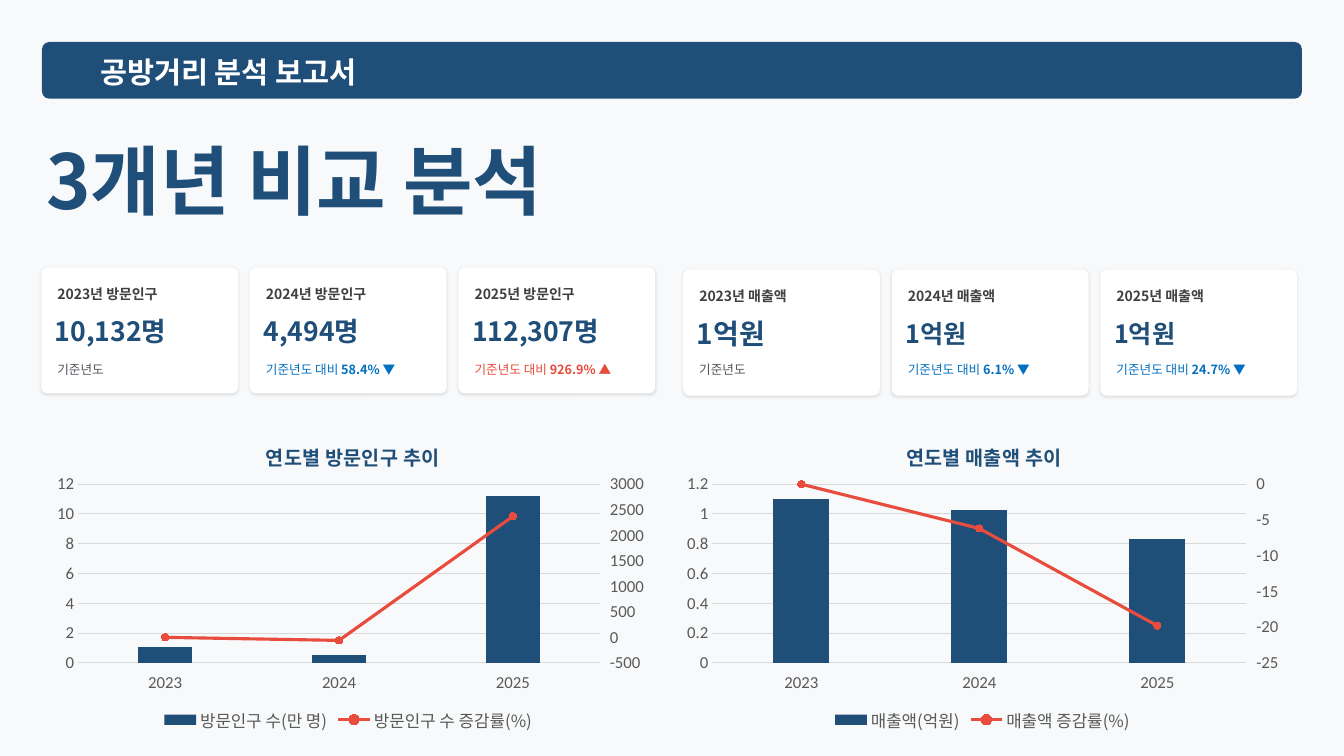
from copy import deepcopy
from dataclasses import dataclass

from lxml import etree
from pptx import Presentation
from pptx.chart.axis import CategoryAxis, ValueAxis
from pptx.chart.data import CategoryChartData
from pptx.dml.color import RGBColor
from pptx.enum.chart import XL_CHART_TYPE, XL_LEGEND_POSITION, XL_MARKER_STYLE, XL_TICK_LABEL_POSITION, XL_TICK_MARK
from pptx.enum.shapes import MSO_SHAPE
from pptx.enum.text import MSO_ANCHOR, MSO_AUTO_SIZE, PP_ALIGN
from pptx.oxml import parse_xml
from pptx.oxml.ns import nsdecls, qn
from pptx.util import Pt

ROUNDED = MSO_SHAPE.ROUNDED_RECTANGLE
COLUMNS = XL_CHART_TYPE.COLUMN_CLUSTERED
NO_TICK, TICK_OUT = XL_TICK_MARK.NONE, XL_TICK_MARK.OUTSIDE
LOW = XL_TICK_LABEL_POSITION.LOW
BOTTOM = XL_LEGEND_POSITION.BOTTOM
CIRCLE = XL_MARKER_STYLE.CIRCLE
MIDDLE, LEFT, NO_FIT = MSO_ANCHOR.MIDDLE, PP_ALIGN.LEFT, MSO_AUTO_SIZE.NONE


@dataclass(frozen=True)
class Theme:
    back: RGBColor = RGBColor.from_string("F8F9FA")
    white: RGBColor = RGBColor.from_string("FFFFFF")
    navy: RGBColor = RGBColor.from_string("1F4E79")
    dark: RGBColor = RGBColor.from_string("404040")
    grey: RGBColor = RGBColor.from_string("51545A")
    axis: RGBColor = RGBColor.from_string("595959")
    grid: RGBColor = RGBColor.from_string("D9D9D9")
    blue: RGBColor = RGBColor.from_string("0070C0")
    red: RGBColor = RGBColor.from_string("E74C3C")
    korean: str = "Noto Sans CJK KR"
    latin: str = "Calibri"
    title: int = 54
    header: int = 21
    chart_title: int = 14
    chart_text: int = 12
    label: int = 10
    note: int = 9


T = Theme()


def style(font, size, color, bold=False):
    """Apply the Korean face to Latin and East Asian text alike."""
    font.size, font.bold, font.name = Pt(size), bold, T.korean
    font.color.rgb = color
    latin = font._element.find(qn("a:latin"))
    latin.addnext(etree.Element(qn("a:ea"), typeface=T.korean))


def write(sp, parts, size, color):
    """Fill a shape with one line of (text, bold) runs, without insets."""
    tf = sp.text_frame
    tf.word_wrap, tf.auto_size, tf.vertical_anchor = True, NO_FIT, MIDDLE
    tf.margin_left = tf.margin_top = tf.margin_right = tf.margin_bottom = 0
    p = tf.paragraphs[0]
    p.alignment = LEFT
    for text, bold in parts:
        r = p.add_run()
        r.text = text
        style(r.font, size, color, bold)


prs = Presentation()
prs.slide_width, prs.slide_height = Pt(960), Pt(540)
s = prs.slides.add_slide(prs.slide_layouts[5])
s.background.fill.solid()
s.background.fill.fore_color.rgb = T.back

# Header bar and title
bar = s.shapes.add_shape(ROUNDED, Pt(30), Pt(30), Pt(900), Pt(40.5))
bar.adjustments[0] = 0.13
bar.shadow.inherit = False
bar.fill.solid()
bar.fill.fore_color.rgb = T.navy
bar.line.fill.background()
header = s.shapes.add_textbox(Pt(71.5), Pt(35.5), Pt(326), Pt(31))
write(header, [("공방거리 분석 보고서", True)], T.header, T.white)

title = s.shapes.title
title.left, title.top, title.width, title.height = Pt(33), Pt(88.5), Pt(455), Pt(78.5)
write(title, [("3개년 비교 분석", True)], T.title, T.navy)

# Indicator cards: label, label width, value, value size, change, change colour
BASE = "기준년도"
card_groups = [
    (29.5, 191, [
        ("2023년 방문인구", 81, "10,132명", 19, "", T.grey),
        ("2024년 방문인구", 78, "4,494명", 19, "58.4% ▼", T.blue),
        ("2025년 방문인구", 72, "112,307명", 19, "926.9% ▲", T.red),
    ]),
    (488, 192.5, [
        ("2023년 매출액", 70, "1억원", 20, "", T.grey),
        ("2024년 매출액", 70, "1억원", 18, "6.1% ▼", T.blue),
        ("2025년 매출액", 70, "1억원", 18, "24.7% ▼", T.blue),
    ]),
]
for group_left, top, cards in card_groups:
    for i, (label, label_width, value, value_size, change, color) in enumerate(cards):
        left = group_left + 149 * i
        card = s.shapes.add_shape(ROUNDED, Pt(left), Pt(top), Pt(140.5), Pt(90))
        card.adjustments[0] = 0.05
        card.fill.solid()
        card.fill.fore_color.rgb = T.white
        card.line.fill.background()
        card._element.spPr.append(parse_xml(
            f'<a:effectLst {nsdecls("a")}><a:outerShdw blurRad="{Pt(2)}" dist="{Pt(1)}" dir="5400000">'
            '<a:srgbClr val="000000"><a:alpha val="10000"/></a:srgbClr></a:outerShdw></a:effectLst>'))
        note = [(f"{BASE} 대비 ", False), (change, True)] if change else [(BASE, False)]
        for dx, y, width, height, parts, size, tint in [
            (11.5, top + 13, label_width, 12, [(label, True)], T.label, T.dark),
            (9.75, top + 35, 140, 21, [(value, True)], value_size, T.navy),
            (11.5, 256.5, 128, 15, note, T.note, color),
        ]:
            box = s.shapes.add_textbox(Pt(left + dx), Pt(y), Pt(width), Pt(height))
            write(box, parts, size, tint)

# Charts: left, title, title x, plot width, number format, bars, left scale, line, right scale
charts = [
    (29.5, "연도별 방문인구 추이", 0.36, 0.85, "#,##0",
     ("방문인구 수(만 명)", (1.1, 0.5, 11.2)), (0, 12, 2),
     ("방문인구 수 증감률(%)", (0, -60, 2370)), (-500, 3000, 500)),
    (482.5, "연도별 매출액 추이", 0.37, 0.87, "General",
     ("매출액(억원)", (1.1, 1.03, 0.83)), (0, 1.2, 0.2),
     ("매출액 증감률(%)", (0, -6.2, -19.8)), (-25, 0, 5)),
]
for left, heading, title_x, plot_width, number_format, bars, left_scale, rate, right_scale in charts:
    data = CategoryChartData()
    data.categories = ["2023", "2024", "2025"]
    data.add_series(*bars)
    data.add_series(*rate)
    chart = s.shapes.add_chart(COLUMNS, Pt(left), Pt(298), Pt(438.5), Pt(228), data).chart
    chart.font.name, chart.font.size = T.latin, Pt(T.chart_text)
    chart.font.color.rgb = T.axis

    chart.has_title = True
    p = chart.chart_title.text_frame.paragraphs[0]
    r = p.add_run()
    r.text = heading
    style(r.font, T.chart_title, T.navy, True)
    chart.has_legend = True
    chart.legend.position, chart.legend.include_in_layout = BOTTOM, False
    style(chart.legend.font, T.chart_text, T.axis)

    cat, val = chart.category_axis, chart.value_axis
    cat.major_tick_mark = val.major_tick_mark = NO_TICK
    cat.tick_label_position = LOW
    val.format.line.fill.background()
    val.tick_labels.number_format = number_format
    val.tick_labels.number_format_is_linked = False
    for line in (cat.format.line, val.major_gridlines.format.line):
        line.color.rgb, line.width = T.grid, Pt(0.75)

    # Second pair of axes, with the rate of change drawn against it
    plot_area = chart._chartSpace.chart.plotArea
    cat2, val2 = deepcopy(cat._element), deepcopy(val._element)
    val._element.addnext(val2)
    val2.addnext(cat2)
    for axis, own, other in ((cat2, "5001", "5002"), (val2, "5002", "5001")):
        axis.find(qn("c:axId")).set("val", own)
        axis.find(qn("c:crossAx")).set("val", other)
    val2.find(qn("c:axPos")).set("val", "r")
    val2.find(qn("c:crosses")).set("val", "max")
    CategoryAxis(cat2).visible = False
    right = ValueAxis(val2)
    right.has_major_gridlines = False
    right.major_tick_mark = TICK_OUT
    right.tick_labels.number_format = "General"
    for axis, scale in ((val, left_scale), (right, right_scale)):
        axis.minimum_scale, axis.maximum_scale, axis.major_unit = scale

    bar_chart = plot_area.find(qn("c:barChart"))
    line_chart = parse_xml(
        f'<c:lineChart {nsdecls("c")}><c:grouping val="standard"/><c:varyColors val="0"/>'
        '<c:marker val="1"/><c:axId val="5001"/><c:axId val="5002"/></c:lineChart>')
    rate_ser = bar_chart.findall(qn("c:ser"))[1]
    for invert in rate_ser.findall(qn("c:invertIfNegative")):
        rate_ser.remove(invert)
    line_chart.insert(2, rate_ser)
    bar_chart.addnext(line_chart)

    columns, trend = chart.plots
    columns.gap_width, columns.vary_by_categories = 219, False
    column_fill = columns.series[0].format.fill
    column_fill.solid()
    column_fill.fore_color.rgb = T.navy
    ser = trend.series[0]
    ser.smooth = False
    ser.format.line.color.rgb, ser.format.line.width = T.red, Pt(2.25)
    ser.marker.style, ser.marker.size = CIRCLE, 5
    ser.marker.format.fill.solid()
    ser.marker.format.fill.fore_color.rgb = T.red
    ser.marker.format.line.color.rgb = T.red

    for parent, index, places in [
        (chart.chart_title._element, 1, {"xMode": "edge", "yMode": "edge", "x": title_x, "y": 0.06}),
        (plot_area, 0, {"layoutTarget": "inner", "xMode": "edge", "yMode": "edge",
                        "x": 0.06, "y": 0.21, "w": plot_width, "h": 0.56}),
    ]:
        for old in parent.findall(qn("c:layout")):
            parent.remove(old)
        layout = etree.Element(qn("c:layout"))
        manual = etree.SubElement(layout, qn("c:manualLayout"))
        for name, place in places.items():
            etree.SubElement(manual, qn(f"c:{name}"), val=str(place))
        parent.insert(index, layout)

prs.save("out.pptx")
